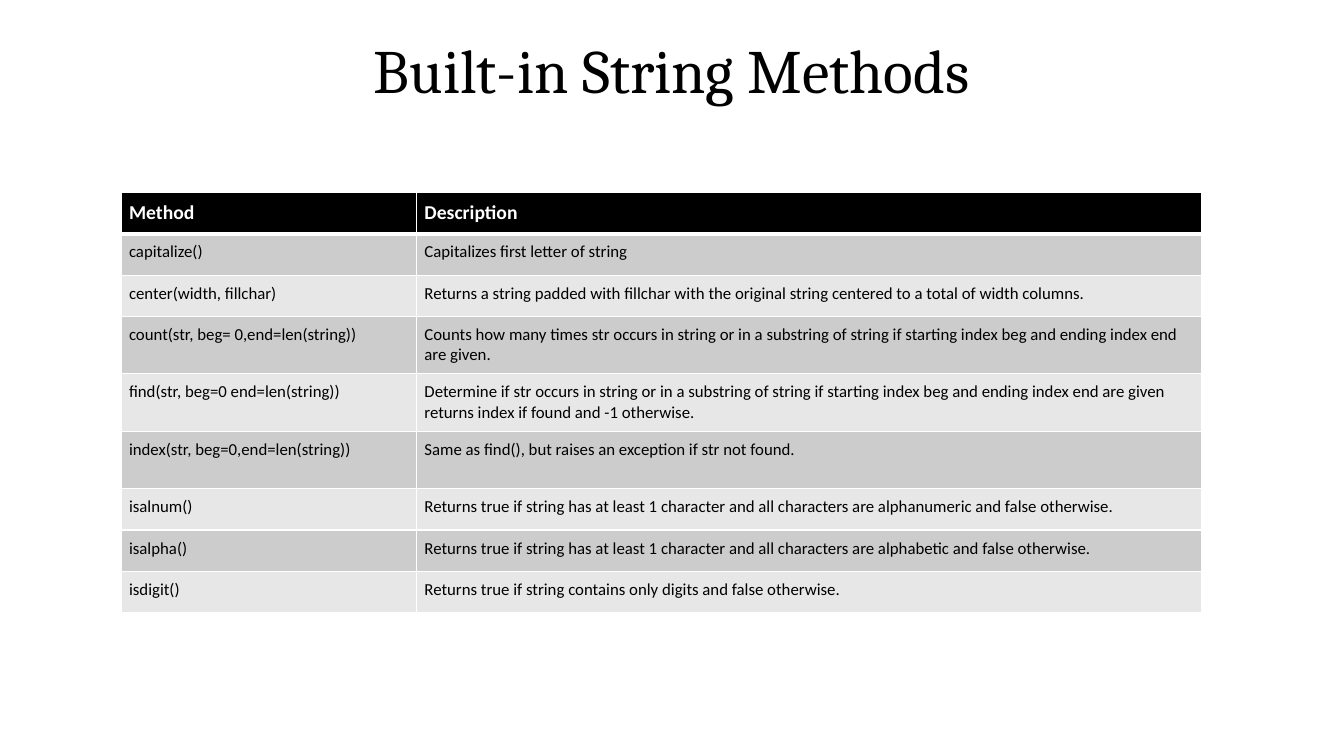
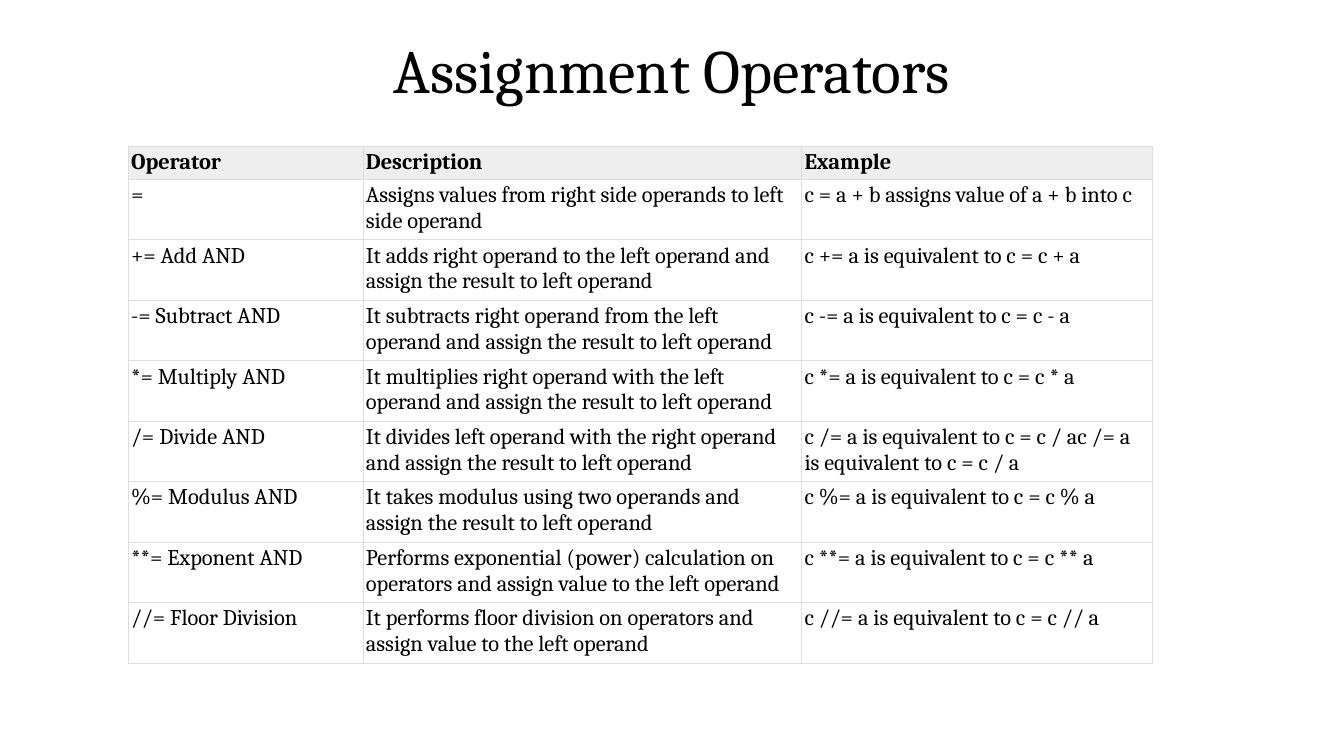
from dataclasses import dataclass

import pptx
import pptx.dml.color
import pptx.enum.text
import pptx.oxml
import pptx.oxml.ns
import pptx.presentation
import pptx.slide
import pptx.table
import pptx.text.text
import pptx.util
from pptx.util import Inches

SLIDE_WIDTH, SLIDE_HEIGHT = 13.33, 7.5
TITLE_HEIGHT = 1.45
TITLE_FONT, BODY_FONT = "Cambria", "Calibri"
BLACK, WHITE = "000000", "FFFFFF"
BLANK_LAYOUT = 6


@dataclass(frozen=True)
class TableStyle:
    font: str
    header_size: float
    body_size: float
    header_color: str
    header_fill: str
    band_fills: tuple[str, ...]
    border_color: str
    border_width: float
    header_rule_width: float
    inset: float


@dataclass(frozen=True)
class TableSlide:
    title: str
    left: float
    top: float
    column_widths: tuple[float, ...]
    row_heights: tuple[float, ...]
    rows: tuple[tuple[str, ...], ...]
    style: TableStyle


BANDED = TableStyle(
    font=BODY_FONT, header_size=14, body_size=12,
    header_color=WHITE, header_fill=BLACK, band_fills=("CCCCCC", "E7E7E7"),
    border_color=WHITE, border_width=1, header_rule_width=3, inset=0.08,
)
RULED = TableStyle(
    font=TITLE_FONT, header_size=16, body_size=16,
    header_color=BLACK, header_fill="EEEEEE", band_fills=(WHITE,),
    border_color="DDDDDD", border_width=0.75, header_rule_width=0.75, inset=0.03,
)

SINGLE_ROW, DOUBLE_ROW = 0.41, 0.57

TABLE_SLIDES = (
    TableSlide(
        title="Built-in String Methods",
        left=1.2, top=1.91,
        column_widths=(2.93, 7.79),
        row_heights=(SINGLE_ROW,) * 3 + (DOUBLE_ROW,) * 3 + (SINGLE_ROW,) * 3,
        rows=(
            ("Method", "Description"),
            ("capitalize()", "Capitalizes first letter of string"),
            ("center(width, fillchar)",
             "Returns a string padded with fillchar with the original string centered "
             "to a total of width columns."),
            ("count(str, beg= 0,end=len(string))",
             "Counts how many times str occurs in string or in a substring of string "
             "if starting index beg and ending index end are given."),
            ("find(str, beg=0 end=len(string))",
             "Determine if str occurs in string or in a substring of string if starting "
             "index beg and ending index end are given returns index if found and "
             "-1 otherwise."),
            ("index(str, beg=0,end=len(string))",
             "Same as find(), but raises an exception if str not found."),
            ("isalnum()",
             "Returns true if string has at least 1 character and all characters are "
             "alphanumeric and false otherwise."),
            ("isalpha()",
             "Returns true if string has at least 1 character and all characters are "
             "alphabetic and false otherwise."),
            ("isdigit()",
             "Returns true if string contains only digits and false otherwise."),
        ),
        style=BANDED,
    ),
    TableSlide(
        title="Assignment Operators",
        left=1.27, top=TITLE_HEIGHT,
        column_widths=(2.33, 4.35, 3.48),
        row_heights=(0.33,) + (0.6,) * 8,
        rows=(
            ("Operator", "Description", "Example"),
            ("=", "Assigns values from right side operands to left side operand",
             "c = a + b assigns value of a + b into c"),
            ("+= Add AND",
             "It adds right operand to the left operand and assign the result to left operand",
             "c += a is equivalent to c = c + a"),
            ("-= Subtract AND",
             "It subtracts right operand from the left operand and assign the result "
             "to left operand",
             "c -= a is equivalent to c = c - a"),
            ("*= Multiply AND",
             "It multiplies right operand with the left operand and assign the result "
             "to left operand",
             "c *= a is equivalent to c = c * a"),
            ("/= Divide AND",
             "It divides left operand with the right operand and assign the result "
             "to left operand",
             "c /= a is equivalent to c = c / ac /= a is equivalent to c = c / a"),
            ("%= Modulus AND",
             "It takes modulus using two operands and assign the result to left operand",
             "c %= a is equivalent to c = c % a"),
            ("**= Exponent AND",
             "Performs exponential (power) calculation on operators and assign value "
             "to the left operand",
             "c **= a is equivalent to c = c ** a"),
            ("//= Floor Division",
             "It performs floor division on operators and assign value to the left operand",
             "c //= a is equivalent to c = c // a"),
        ),
        style=RULED,
    ),
)


def color(hex_code: str) -> pptx.dml.color.RGBColor:
    return pptx.dml.color.RGBColor.from_string(hex_code)


def write_text(
    text_frame: pptx.text.text.TextFrame,
    text: str,
    *,
    font: str,
    size: float,
    text_color: str = BLACK,
    bold: bool = False,
    alignment: pptx.enum.text.PP_ALIGN = pptx.enum.text.PP_ALIGN.LEFT,
    line_spacing: float = 1.0,
) -> None:
    paragraph = text_frame.paragraphs[0]
    paragraph.alignment = alignment
    paragraph.line_spacing = line_spacing
    run = paragraph.add_run()
    run.text = text
    run.font.name = font
    run.font.size = pptx.util.Pt(size)
    run.font.bold = bold
    run.font.color.rgb = color(text_color)


def add_title(slide: pptx.slide.Slide, title: str) -> None:
    box = slide.shapes.add_textbox(0, 0, Inches(SLIDE_WIDTH), Inches(TITLE_HEIGHT))
    box.text_frame.word_wrap = True
    box.text_frame.vertical_anchor = pptx.enum.text.MSO_ANCHOR.MIDDLE
    write_text(box.text_frame, title, font=TITLE_FONT, size=44,
               alignment=pptx.enum.text.PP_ALIGN.CENTER, line_spacing=0.9)


def set_borders(cell: pptx.table._Cell, style: TableStyle, row_index: int) -> None:
    """Draw all four borders; call before filling, as the schema wants lines first."""
    top = style.header_rule_width if row_index == 1 else style.border_width
    bottom = style.header_rule_width if row_index == 0 else style.border_width
    widths = {"lnL": style.border_width, "lnR": style.border_width,
              "lnT": top, "lnB": bottom}
    properties = cell._tc.get_or_add_tcPr()
    for tag, width in widths.items():
        properties.append(pptx.oxml.parse_xml(
            f'<a:{tag} {pptx.oxml.ns.nsdecls("a")} w="{int(pptx.util.Pt(width))}">'
            f'<a:solidFill><a:srgbClr val="{style.border_color}"/></a:solidFill>'
            f'</a:{tag}>'
        ))


def format_cell(cell: pptx.table._Cell, text: str, style: TableStyle, row_index: int) -> None:
    is_header = row_index == 0
    inset = Inches(style.inset)
    cell.margin_left = cell.margin_right = inset
    cell.margin_top = cell.margin_bottom = inset
    set_borders(cell, style, row_index)
    band = style.band_fills[(row_index - 1) % len(style.band_fills)]
    cell.fill.solid()
    cell.fill.fore_color.rgb = color(style.header_fill if is_header else band)
    write_text(
        cell.text_frame, text, font=style.font, bold=is_header,
        size=style.header_size if is_header else style.body_size,
        text_color=style.header_color if is_header else BLACK,
    )


def add_styled_table(slide: pptx.slide.Slide, content: TableSlide) -> None:
    table = slide.shapes.add_table(
        len(content.rows), len(content.column_widths),
        Inches(content.left), Inches(content.top),
        Inches(sum(content.column_widths)), Inches(sum(content.row_heights)),
    ).table
    table.first_row = False
    table.horz_banding = False
    for column, width in zip(table.columns, content.column_widths):
        column.width = Inches(width)
    for row_index, (height, texts) in enumerate(zip(content.row_heights, content.rows)):
        table.rows[row_index].height = Inches(height)
        for column_index, text in enumerate(texts):
            format_cell(table.cell(row_index, column_index), text, content.style, row_index)


def add_table_slide(
    presentation: pptx.presentation.Presentation, content: TableSlide
) -> None:
    slide = presentation.slides.add_slide(presentation.slide_layouts[BLANK_LAYOUT])
    add_title(slide, content.title)
    add_styled_table(slide, content)


def main() -> None:
    presentation = pptx.Presentation()
    presentation.slide_width = Inches(SLIDE_WIDTH)
    presentation.slide_height = Inches(SLIDE_HEIGHT)
    for content in TABLE_SLIDES:
        add_table_slide(presentation, content)
    presentation.save("out.pptx")


if __name__ == "__main__":
    main()
